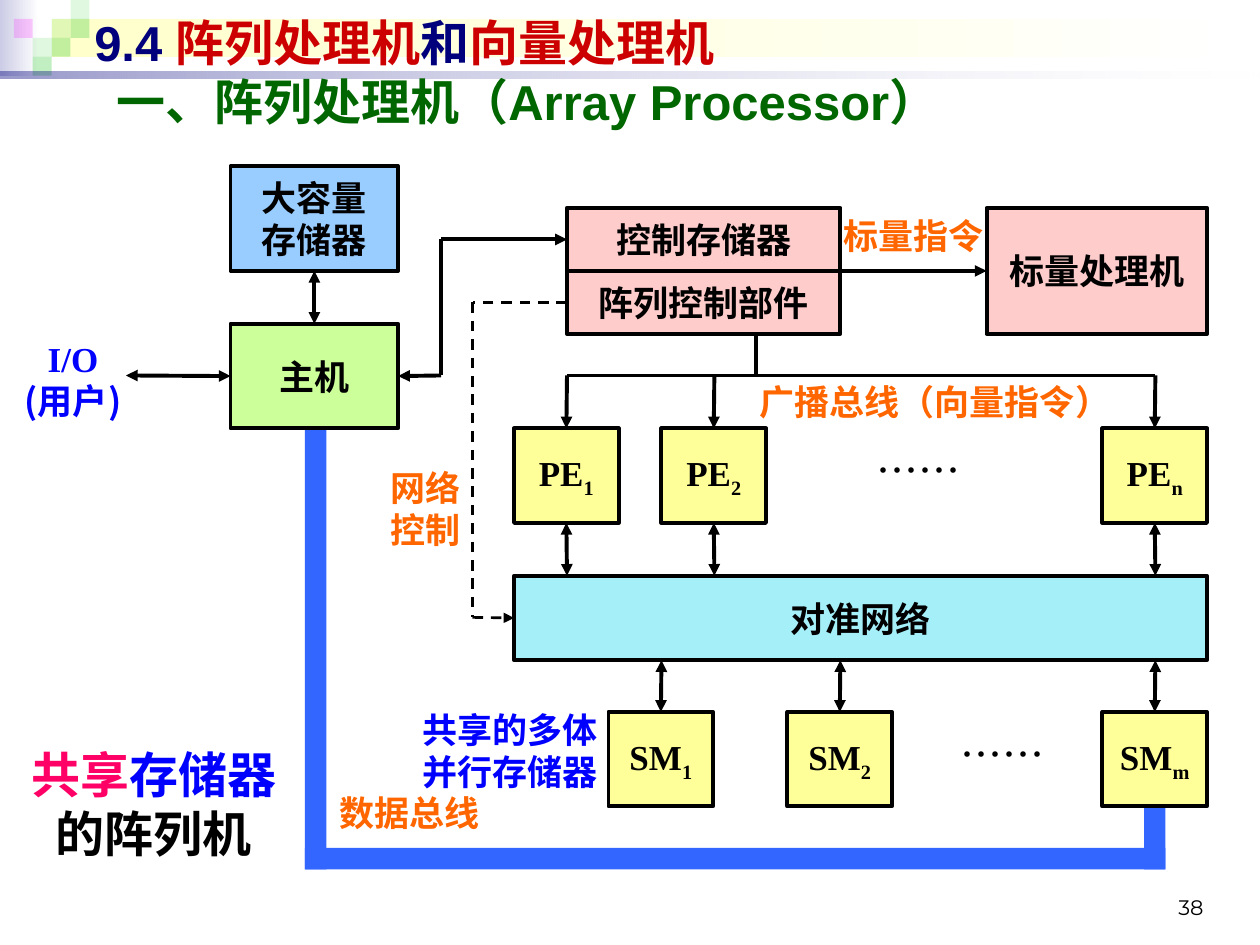
import pptx
import pptx.util
import pptx.dml.color
import pptx.enum.dml
import pptx.enum.shapes
import pptx.enum.text
import pptx.oxml
import pptx.oxml.ns

Inches, Pt = pptx.util.Inches, pptx.util.Pt
qn = pptx.oxml.ns.qn
ALIGN = pptx.enum.text.PP_ALIGN
ANCHOR = pptx.enum.text.MSO_ANCHOR
C = {"black": "000000", "white": "FFFFFF", "navy": "00007D", "red": "CC0000",
     "title_green": "006600", "blue": "0000FF", "orange": "FF6600",
     "pink": "FF0066", "bus": "3366FF", "network": "A5EFF9",
     "unit": "FFFF99", "control": "FFCCCC", "host": "CCFF99",
     "storage": "99CCFF", "lilac": "CCCCE6", "cream": "FFFFCC",
     "green": "33CC33", "magenta": "FF00FF"}
TOP, LEFT, BOTTOM, RIGHT = range(4)
CJK = "Noto Sans CJK SC"
SERIF = "Times New Roman"


def rgb(name):
    return pptx.dml.color.RGBColor.from_string(C[name])


def element(parent, tag, **attrs):
    el = pptx.oxml.parse_xml(f'<a:{tag} {pptx.oxml.ns.nsdecls("a")}/>')
    for key, value in attrs.items():
        el.set(key, str(value))
    parent.append(el)
    return el


def write(sp, runs, size=20, font="Arial", bold=True, align=ALIGN.CENTER,
          anchor=ANCHOR.TOP, wrap=True):
    tf = sp.text_frame
    tf.word_wrap = wrap
    tf.vertical_anchor = anchor
    p = tf.paragraphs[0]
    p.alignment = align
    p.font.size, p.font.bold = Pt(size), bold
    fonts = {run[2] if len(run) > 2 else font for run in runs}
    colors = {run[1] for run in runs}
    if len(colors) == 1:
        p.font.color.rgb = rgb(runs[0][1])
    if len(fonts) == 1:
        p.font.name = font
    element(p.font._element, "ea", typeface=CJK)
    for text, color, *own in runs:
        for i, line in enumerate(text.split("\n")):
            if i:
                p.add_line_break()
            if not line:
                continue
            r = p.add_run()
            r.text = line
            if len(colors) > 1:
                r.font.color.rgb = rgb(color)
            if len(fonts) > 1:
                r.font.name = own[0] if own else font
    return p


def label(s, box, runs, **style):
    return write(s.shapes.add_textbox(*map(Inches, box)), runs, **style)


def rect(s, box, color, outlined=False):
    sp = s.shapes.add_shape(pptx.enum.shapes.MSO_SHAPE.RECTANGLE, *map(Inches, box))
    sp.shadow.inherit = False
    sp.fill.solid()
    sp.fill.fore_color.rgb = rgb(color)
    if outlined:
        sp.line.color.rgb = rgb("black")
        sp.line.width = Pt(2.25)
    else:
        sp.line.fill.background()
    return sp


def block(s, box, color, text, font="Arial"):
    sp = rect(s, box, color, True)
    write(sp, [(text, "black")], font=font, anchor=ANCHOR.MIDDLE, wrap=False)
    return sp


def set_alpha(sp, *percents):
    for clr, percent in zip(sp._element.spPr.iter(qn("a:srgbClr")), percents):
        element(clr, "alpha", val=percent * 1000)


def gradient(s, box, start, end):
    sp = rect(s, box, start)
    sp.fill.gradient()
    sp.fill.gradient_angle = 0
    for stop, color in zip(sp.fill.gradient_stops, (start, end)):
        stop.color.rgb = rgb(color)
    return sp


def link(s, x1, y1, x2, y2, head=False, tail=False, dash=False, begin=None, end=None):
    cx = s.shapes.add_connector(pptx.enum.shapes.MSO_CONNECTOR.STRAIGHT,
                                *map(Inches, (x1, y1, x2, y2)))
    cx.line.color.rgb = rgb("black")
    cx.line.width = Pt(1.5 if dash else 2.25)
    if dash:
        cx.line.dash_style = pptx.enum.dml.MSO_LINE.DASH
    ln = cx.line._get_or_add_ln()
    for on, tag in ((head, "headEnd"), (tail, "tailEnd")):
        if on:
            element(ln, tag, type="triangle")
    element(cx._element.spPr, "effectLst")
    if begin:
        cx.begin_connect(*begin)
    if end:
        cx.end_connect(*end)


def header(s, x, y, w):
    gradient(s, (x, y, 0.31, 0.6), "lilac", "white")
    gradient(s, (x + 0.41, y + 0.15, w - 0.45, 0.3), "cream", "white")
    d = 0.15
    for col, row, color, alpha in ((2, 1, "green", 15), (3, 0, "green", 15),
                                   (3, 1, "green", 30), (1, 2, "green", 15),
                                   (0, 1, "magenta", 20), (2, 2, "green", 30),
                                   (1, 3, "green", 30)):
        set_alpha(rect(s, (x + 0.11 + col * d, y + row * d, d, d), color), alpha)
    set_alpha(gradient(s, (x, y + 0.57, w, 0.05), "navy", "white"), 40, 10)
    label(s, (x + 0.65, y + 0.05, 9, 0.57),
          [("9.4 ", "navy"), ("阵列处理机", "red"), ("和", "navy"), ("向量处理机", "red")],
          size=28, align=ALIGN.LEFT, anchor=ANCHOR.MIDDLE)
    label(s, (x + 0.83, y + 0.52, 8.84, 0.57),
          [("一、阵列处理机（Array Processor）", "title_green")],
          size=28, align=ALIGN.LEFT, anchor=ANCHOR.MIDDLE)


def data_bus(s, x, y, w, h):
    t = 0.17
    rect(s, (x, y + h - t, w, t), "bus")
    rect(s, (x, y, t, h), "bus")
    rect(s, (x + w - t, y + h - 0.5, t, 0.5), "bus")


def unit_row(s, name, units, y, dots_x):
    made = []
    for x, index in units:
        sp = block(s, (x, y, 0.83, 0.75), "unit", name, SERIF)
        r = sp.text_frame.paragraphs[0].add_run()
        r.text = index
        r._r.get_or_add_rPr().set("baseline", "-25000")
        made.append((sp, x + 0.42))
    label(s, (dots_x, y + 0.08, 0.92, 0.5), [("……", "black")],
          size=24, font=CJK, bold=False)
    return made


def array_part(s, x, y, w):
    net_y, bus_y, gap = y + 1.59, y, 0.42
    network = block(s, (x, net_y, w, 0.67), "network", "对准网络")
    memories = unit_row(s, "SM", ((x + 0.75, "1"), (x + 2.17, "2"), (x + 4.67, "m")),
                        net_y + 1.08, x + 3.42)
    for sp, cx in memories:
        link(s, cx, net_y + 0.67, cx, net_y + 1.08, True, True, end=(sp, TOP))
    elements = unit_row(s, "PE", ((x, "1"), (x + 1.17, "2"), (x + 4.67, "n")),
                        bus_y + gap, x + 2.75)
    for sp, cx in elements:
        link(s, cx, net_y - gap, cx, net_y, True, True, begin=(sp, BOTTOM))
        link(s, cx, bus_y, cx, bus_y + gap, tail=True, end=(sp, TOP))
    link(s, elements[0][1], bus_y, elements[-1][1], bus_y)
    return network


def control_part(s, x, y, w):
    store = block(s, (x, y, w, 0.5), "control", "控制存储器")
    array = block(s, (x, y + 0.5, w, 0.5), "control", "阵列控制部件")
    scalar = block(s, (x + 3.33, y, 1.75, 1), "control", "标量处理机")
    link(s, x + 1.5, y + 1, x + 1.5, y + 1.33)
    link(s, x + w, y + 0.5, x + 3.33, y + 0.5, tail=True,
         begin=(store, BOTTOM) if w == 0 else None, end=(scalar, LEFT))
    return store, array


def host_part(s, x, y, w):
    host = block(s, (x, y + 1.25, w, 0.83), "host", "主机")
    storage = block(s, (x, y, w, 0.83), "storage", "大容量\n存储器")
    mid = x + w / 2
    link(s, mid, y + 0.83, mid, y + 1.25, True, True,
         begin=(storage, BOTTOM), end=(host, TOP))
    link(s, x, y + 1.66, x - 0.83, y + 1.66, True, True, begin=(host, LEFT))
    return host


def routes(s, host, store, array, network):
    link(s, 4.5, 2.4, 3.75, 2.4, dash=True, begin=(array, LEFT))
    link(s, 3.75, 2.4, 3.75, 4.9, dash=True)
    link(s, 3.75, 4.9, 4.08, 4.9, tail=True, dash=True, end=(network, LEFT))
    link(s, 3.5, 2.98, 3.17, 2.98, tail=True, end=(host, RIGHT))
    link(s, 3.5, 1.9, 4.5, 1.9, tail=True, end=(store, LEFT))
    link(s, 3.5, 1.9, 3.5, 2.98)


def captions(s):
    label(s, (0.08, 2.63, 1, 0.77), [("I/O\n", "blue"), ("(", "blue", CJK),
                                     ("用户", "blue"), (")", "blue", CJK)], font=SERIF)
    for box, text, color in (
            ((6.5, 1.65, 1.5, 0.43), "标量指令", "orange"),
            ((2.92, 3.65, 0.92, 0.77), "网络\n控制", "orange"),
            ((2.5, 6.23, 1.5, 0.43), "数据总线", "orange"),
            ((5.92, 2.97, 3, 0.43), "广播总线（向量指令）", "orange"),
            ((3.17, 5.57, 1.75, 0.77), "共享的多体\n并行存储器", "blue")):
        label(s, box, [(text, color)], font=SERIF)
    label(s, (0.12, 5.86, 2.2, 1.03), [("共享", "pink"), ("存储器\n", "blue"),
                                       ("的阵列机", "black")], size=28, font=SERIF)
    label(s, (7.17, 6.83, 2.48, 0.52), [("38", "black")], size=12, font="Montserrat",
          bold=False, align=ALIGN.RIGHT, anchor=ANCHOR.BOTTOM)


def main():
    prs = pptx.Presentation()
    prs.slide_width, prs.slide_height = Inches(10), Inches(7.5)
    s = prs.slides.add_slide(prs.slide_layouts[6])
    header(s, 0, 0, 10)
    data_bus(s, 2.42, 3.4, 6.83, 3.5)
    network = array_part(s, 4.08, 2.98, 5.5)
    store, array = control_part(s, 4.5, 1.65, 2.17)
    host = host_part(s, 1.83, 1.32, 1.33)
    routes(s, host, store, array, network)
    captions(s)
    prs.save("out.pptx")


if __name__ == "__main__":
    main()
